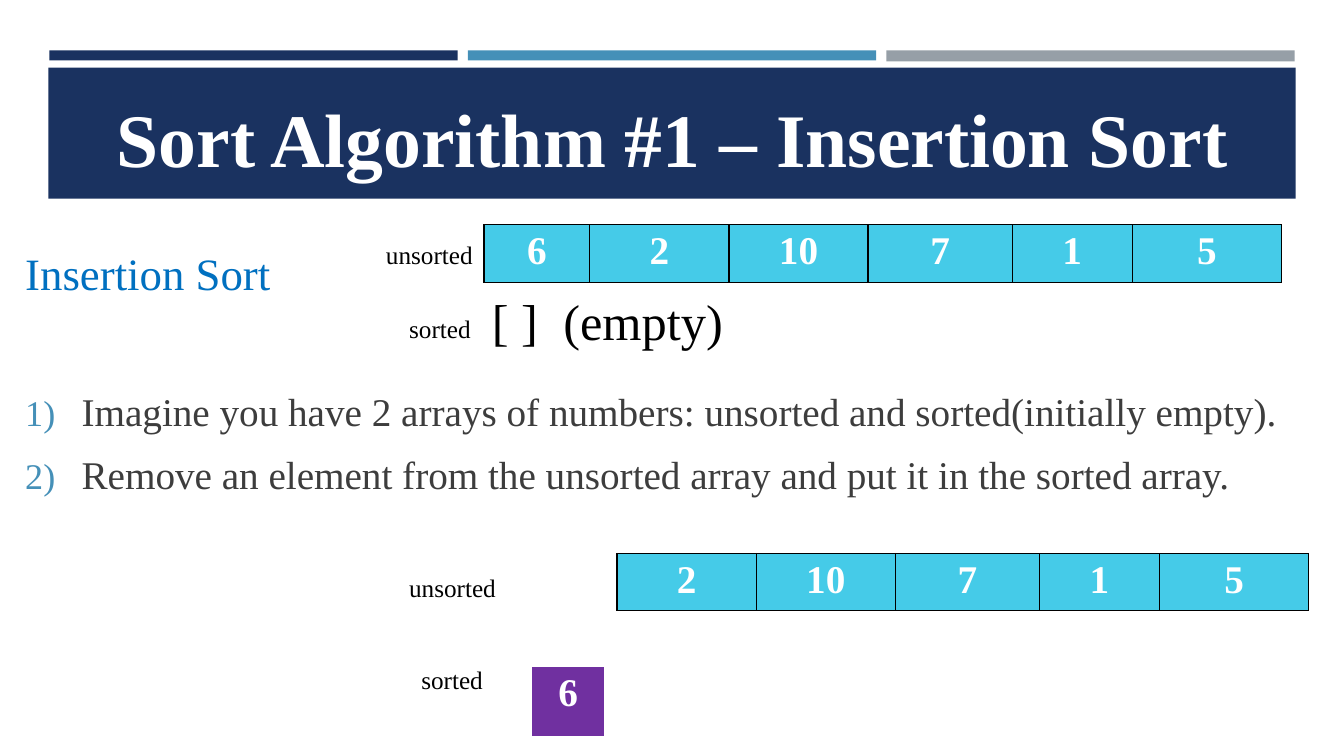
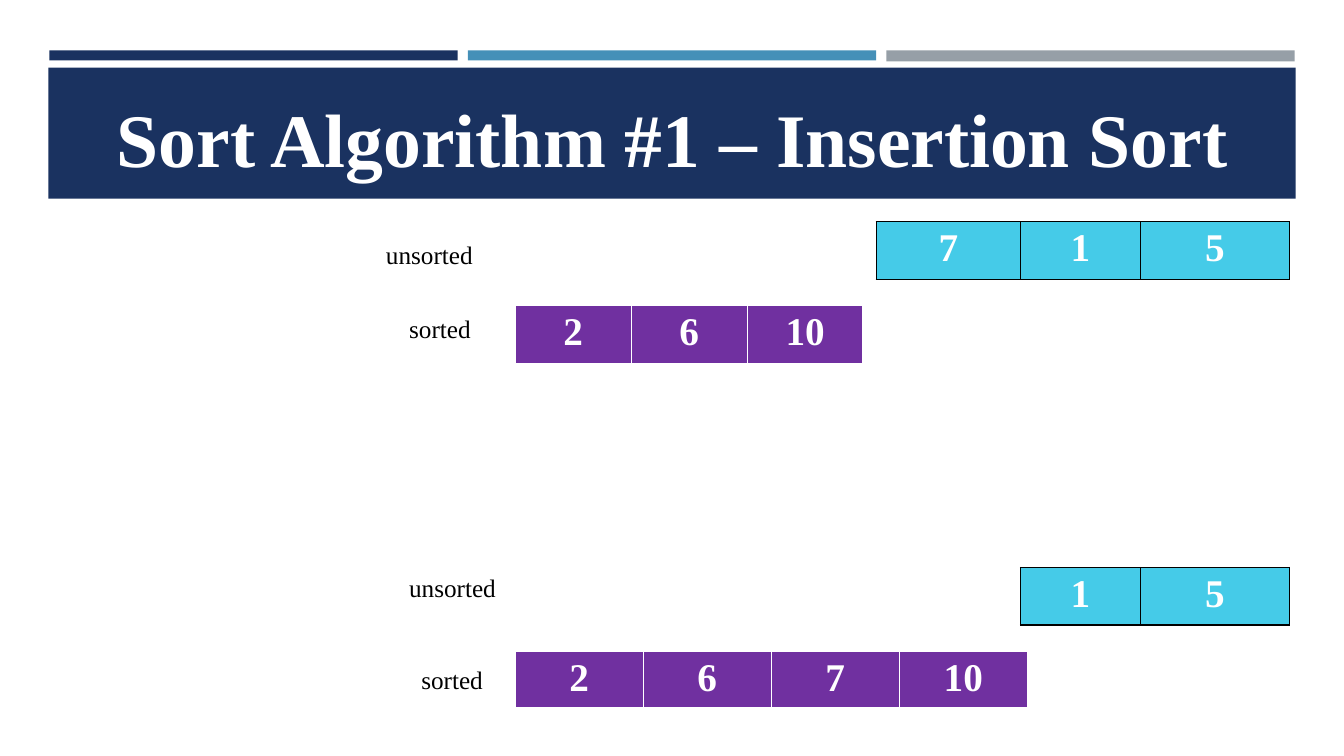
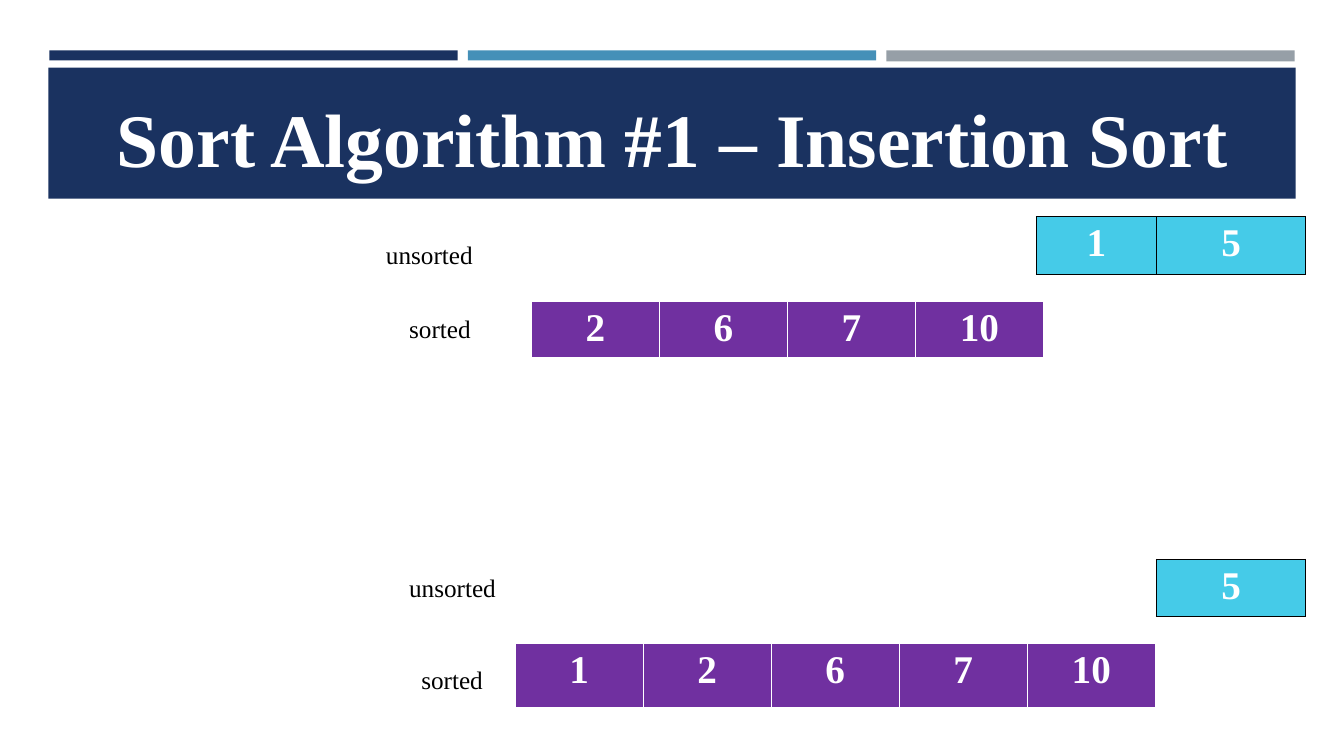
import pptx
import pptx.dml.color
import pptx.enum.shapes
import pptx.enum.text
import pptx.util
from lxml import etree
from pptx.oxml.ns import qn

Inches, Pt = pptx.util.Inches, pptx.util.Pt
ALIGN = pptx.enum.text.PP_ALIGN

FONT = "Times New Roman"
COLORS = {
    "navy": "1A3260", "blue": "4590B8", "gray": "969FA7",
    "cyan": "45CBE8", "purple": "7030A0", "heading": "0070C0",
    "body": "3D3D3D", "white": "FFFFFF", "black": "000000",
}
BANDS = [  # left, top, width, height, colour
    (0.49, 0.5, 4.05, 0.1, "navy"),
    (4.64, 0.5, 4.05, 0.1, "blue"),
    (8.79, 0.5, 4.05, 0.11, "gray"),
    (0.48, 0.67, 12.37, 1.3, "navy"),
]

TITLE = "Sort Algorithm #1 – Insertion Sort"
HEADING = "Insertion Sort"
STEPS = [
    "Imagine you have 2 arrays of numbers: unsorted and sorted(initially empty).",
    "Remove an element from the unsorted array and put it in the sorted array.",
]
LABELS = [  # text, left, top, width
    ("unsorted", 3.73, 2.33, 1.54), ("sorted", 3.96, 3.06, 1.31),
    ("unsorted", 3.96, 5.63, 1.54), ("sorted", 4.08, 6.54, 1.31),
]

NUMBERS = [6, 2, 10, 7, 1, 5]
UNSORTED_WIDTHS = [1.05, 1.38, 1.38, 1.43, 1.19, 1.48]
UNSORTED_HEIGHT = 0.57
# Each state: how many numbers are sorted, then (left, top) of the unsorted array,
# then (left, top, cell width, height) of the sorted one
SLIDES = [
    [(0, (4.8, 2.23), None),
     (1, (6.12, 5.49), (5.27, 6.61, 0.73, 0.71))],
    [(3, (8.69, 2.2), (5.11, 3.03, 1.15, 0.59)),
     (4, (10.12, 5.63), (5.11, 6.46, 1.27, 0.57))],
    [(4, (10.28, 2.15), (5.27, 2.99, 1.27, 0.57)),
     (5, (11.47, 5.55), (5.11, 6.38, 1.27, 0.65))],
]


def rgb(color):
    return pptx.dml.color.RGBColor.from_string(COLORS[color])


def style(paragraph, size, color, bold=False, align=ALIGN.LEFT):
    paragraph.alignment = align
    font = paragraph.font
    font.name, font.size, font.bold = FONT, Pt(size), bold
    font.color.rgb = rgb(color)


def place(shape, left, top, width, height):
    shape.left, shape.top = Inches(left), Inches(top)
    shape.width, shape.height = Inches(width), Inches(height)


def add_bands(master, slide):
    """Draw the bands on a slide, then move them behind everything on the master."""
    for position, (*box, color) in enumerate(BANDS):
        band = slide.shapes.add_shape(
            pptx.enum.shapes.MSO_SHAPE.RECTANGLE, *map(Inches, box))
        band.shadow.inherit = False
        band.fill.solid()
        band.fill.fore_color.rgb = rgb(color)
        band.line.fill.background()
        master.shapes.element.insert(2 + position, band.element)


def add_title(slide):
    frame = slide.shapes.title.text_frame
    frame.text = TITLE
    frame.auto_size = pptx.enum.text.MSO_AUTO_SIZE.NONE
    frame.vertical_anchor = pptx.enum.text.MSO_ANCHOR.MIDDLE
    style(frame.paragraphs[0], 54, "white", True, ALIGN.CENTER)


def add_text(slide, text, left, top, width, height, size, tab=None):
    frame = slide.shapes.add_textbox(*map(Inches, (left, top, width, height))).text_frame
    frame.word_wrap = True
    frame.text = text
    paragraph = frame.paragraphs[0]
    if tab:
        stops = etree.SubElement(paragraph._p.get_or_add_pPr(), qn("a:tabLst"))
        etree.SubElement(stops, qn("a:tab"), pos=str(Inches(tab)), algn="l")
    style(paragraph, size, "black")


def set_borders(cell, color, bottom):
    properties = cell._tc.get_or_add_tcPr()
    for side, weight in (("L", 1), ("R", 1), ("T", 1), ("B", bottom)):
        line = etree.SubElement(properties, qn(f"a:ln{side}"), w=str(Pt(weight)))
        fill = etree.SubElement(line, qn("a:solidFill"))
        etree.SubElement(fill, qn("a:srgbClr"), val=COLORS[color])


def add_array(slide, numbers, widths, left, top, height, fill, border, bottom):
    table = slide.shapes.add_table(
        1, len(numbers), *map(Inches, (left, top, sum(widths), height))).table
    table.first_row = table.horz_banding = False
    for column, number, width in zip(table.columns, numbers, widths):
        column.width = Inches(width)
    for cell, number in zip(table.rows[0].cells, numbers):
        set_borders(cell, border, bottom)
        cell.fill.solid()
        cell.fill.fore_color.rgb = rgb(fill)
        cell.text = str(number)
        style(cell.text_frame.paragraphs[0], 28, "white", True, ALIGN.CENTER)


def add_state(slide, count, unsorted_place, sorted_place):
    add_array(slide, NUMBERS[count:], UNSORTED_WIDTHS[count:], *unsorted_place,
              UNSORTED_HEIGHT, "cyan", "black", 1)
    if sorted_place:
        left, top, width, height = sorted_place
        add_array(slide, sorted(NUMBERS[:count]), [width] * count, left, top,
                  height, "purple", "white", 3)


def set_bullet(paragraph, numbered):
    properties = paragraph._p.get_or_add_pPr()
    indent = Inches(0.56) if numbered else 0
    properties.set("marL", str(indent))
    properties.set("indent", str(-indent))
    if not numbered:
        etree.SubElement(properties, qn("a:buNone"))
        return
    color = etree.SubElement(properties, qn("a:buClr"))
    etree.SubElement(color, qn("a:srgbClr"), val=COLORS["blue"])
    etree.SubElement(properties, qn("a:buSzPct"), val="92000")
    etree.SubElement(properties, qn("a:buFont"), typeface=FONT)
    etree.SubElement(properties, qn("a:buAutoNum"), type="arabicParenR")


def add_steps(slide):
    body = slide.placeholders[1]
    place(body, 0.15, 2.43, 13.04, 4.55)
    frame = body.text_frame
    frame.text = "\n".join([HEADING, *STEPS])
    frame.auto_size = pptx.enum.text.MSO_AUTO_SIZE.NONE
    for index, (paragraph, before) in enumerate(zip(frame.paragraphs, (0, 58, 7))):
        set_bullet(paragraph, numbered=index > 0)
        paragraph.line_spacing = 0.95
        paragraph.space_before, paragraph.space_after = Pt(before), Pt(6)
        if index:
            style(paragraph, 28, "body")
        else:
            style(paragraph, 32, "heading")


def main():
    prs = pptx.Presentation()
    prs.slide_width, prs.slide_height = Inches(13.33), Inches(7.5)
    master = prs.slide_master
    place(master.placeholders[0], 0.93, 0.86, 11.48, 1.01)
    content_layout, title_layout = prs.slide_layouts[1], prs.slide_layouts[5]

    for index, states in enumerate(SLIDES):
        slide = prs.slides.add_slide(title_layout if index else content_layout)
        add_title(slide)
        if index == 0:
            add_bands(master, slide)
            add_steps(slide)
            add_text(slide, "[ ]\t(empty)", 4.78, 2.83, 4.76, 0.71, 36, tab=0.71)
        for text, left, top, width in LABELS:
            add_text(slide, text, left, top, width, 0.4, 18)
        for state in states:
            add_state(slide, *state)

    prs.save("out.pptx")


if __name__ == "__main__":
    main()
